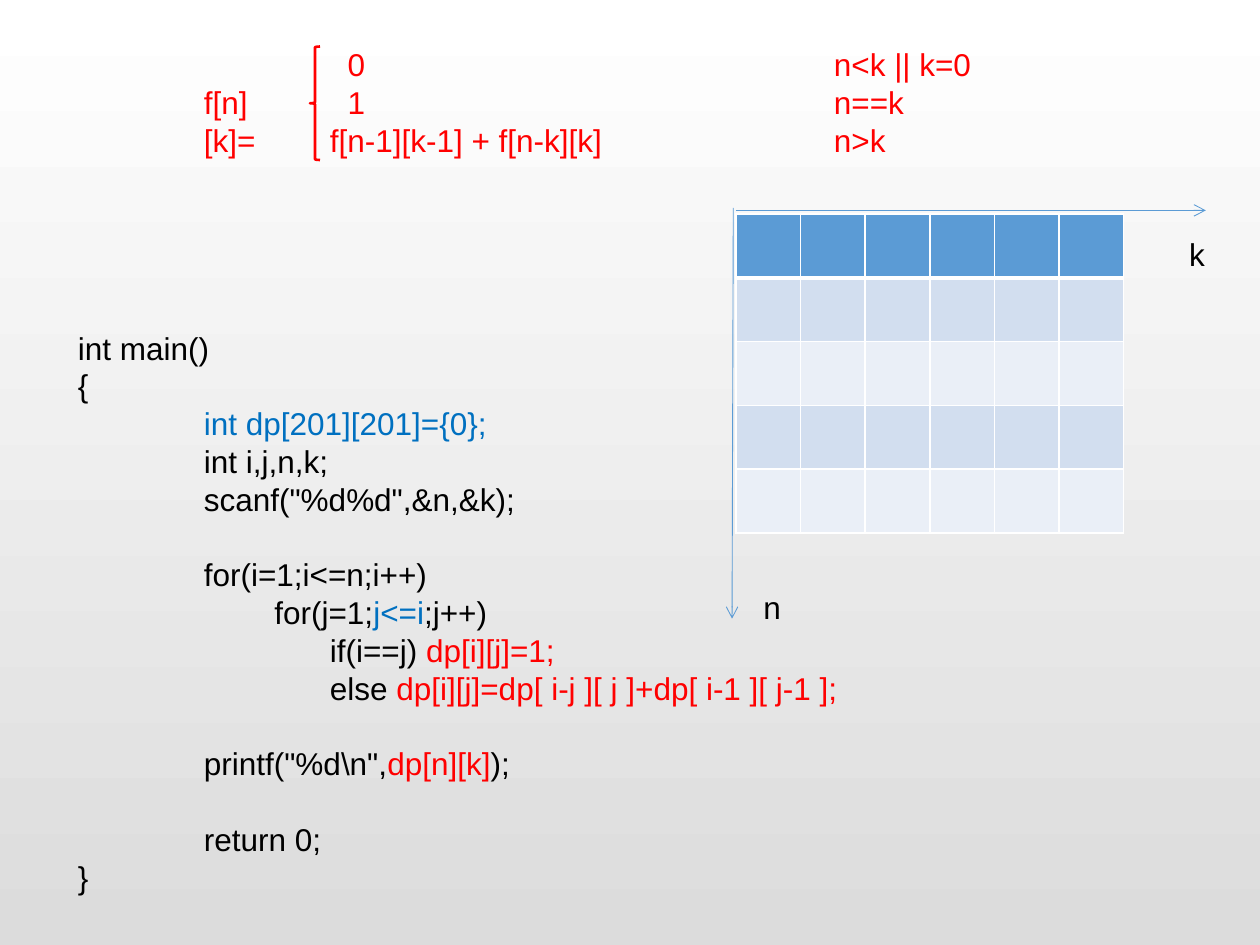
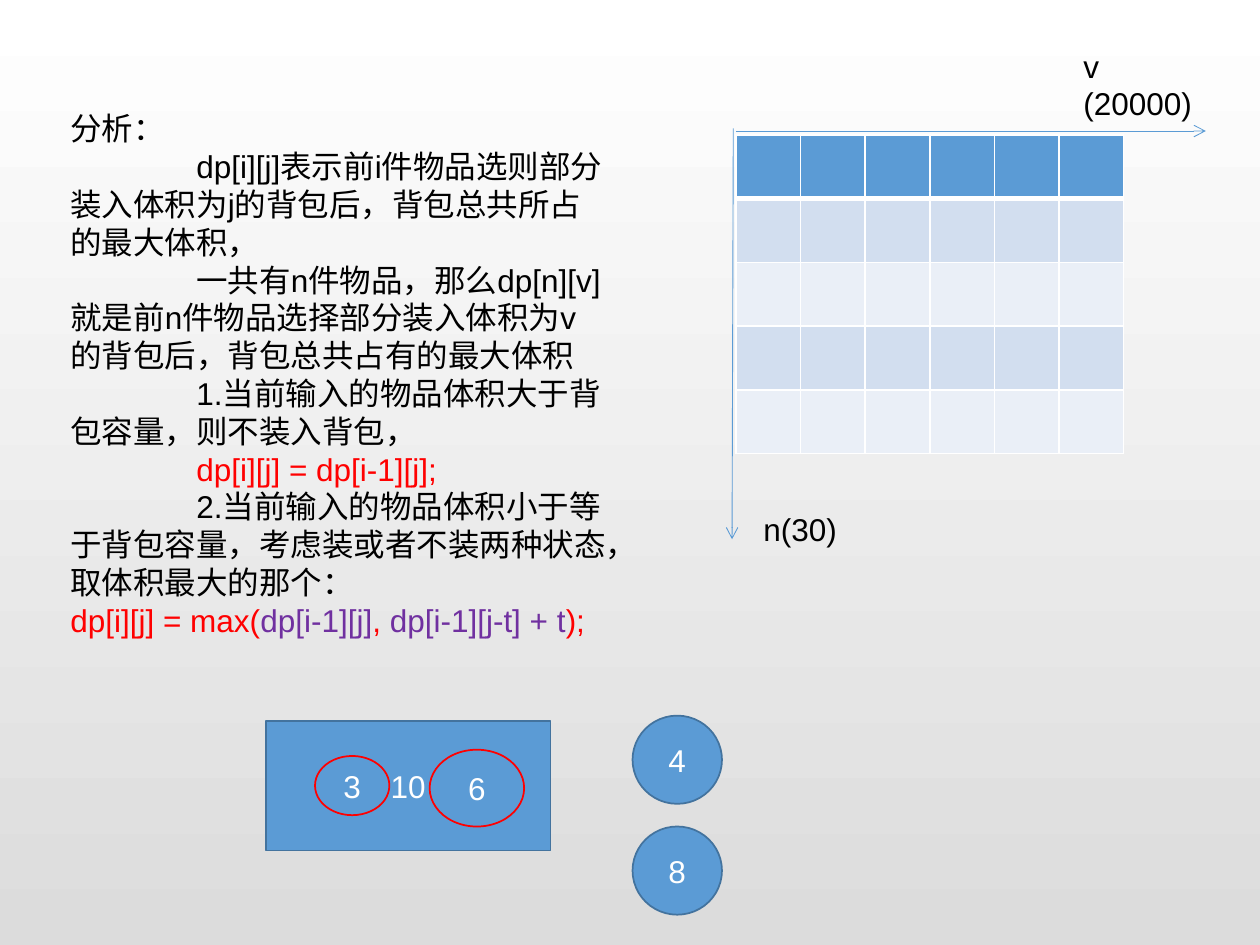
"""Build two slides on dynamic programming tables."""
from dataclasses import dataclass

from lxml.etree import SubElement
from pptx import Presentation
from pptx.dml.color import RGBColor
from pptx.enum.shapes import MSO_CONNECTOR, MSO_SHAPE
from pptx.enum.text import MSO_ANCHOR, PP_ALIGN
from pptx.oxml import parse_xml
from pptx.oxml.ns import nsdecls, qn
from pptx.util import Pt

SCALE = 9144


@dataclass(frozen=True)
class Theme:
    font: str = "Arial"
    size: int = 18
    pitch: float = 21.6
    black: str = "000000"
    white: str = "FFFFFF"
    grey: str = "DCDCDC"
    red: str = "FF0000"
    blue: str = "0070C0"
    violet: str = "7030A0"
    main: str = "5B9BD5"
    edge: str = "43739E"
    bands: tuple = ("EAEFF7", "D2DEEF")


THEME = Theme()


@dataclass
class Line:
    spans: list
    left: int = 0
    first: int = 0
    gap: bool = False


def px(count):
    return count * SCALE


def rgb(code):
    return RGBColor.from_string(code)


def style(run, color):
    run.font.name = THEME.font
    run.font.size = Pt(THEME.size)
    run.font.color.rgb = rgb(color)


def add_page(deck):
    page = deck.slides.add_slide(deck.slide_layouts[6])
    fill = page.background.fill
    fill.gradient()
    fill.gradient_angle = 270
    for stop, color in zip(fill.gradient_stops, (THEME.white, THEME.grey)):
        stop.color.rgb = rgb(color)
    return page


def set_line(para, line):
    para.line_spacing = Pt(THEME.pitch)
    if line.gap:
        para.space_before = Pt(THEME.pitch)
    props = para._p.get_or_add_pPr()
    props.set("marL", str(px(line.left)))
    props.set("indent", str(px(line.first)))
    for text, color in line.spans:
        run = para.add_run()
        run.text = text
        style(run, color)


def add_text(page, place, lines, wrap=True):
    frame = page.shapes.add_textbox(*map(px, place)).text_frame
    frame.word_wrap = wrap
    for index, line in enumerate(lines):
        para = frame.add_paragraph() if index else frame.paragraphs[0]
        set_line(para, line)


def add_label(page, place, *texts, wrap=False, color=THEME.black):
    add_text(page, place, [Line([(text, color)]) for text in texts], wrap)


def add_arrow(page, start, end):
    arrow = page.shapes.add_connector(
        MSO_CONNECTOR.STRAIGHT, *map(px, start + end))
    arrow.line.color.rgb = rgb(THEME.main)
    arrow.line.width = Pt(0.5)
    SubElement(arrow.line._get_or_add_ln(), qn("a:tailEnd"), type="arrow")
    SubElement(arrow._element.spPr, qn("a:effectLst"))


def set_edge(cell, widths):
    props = cell._tc.get_or_add_tcPr()
    for index, (side, width) in enumerate(zip("LRTB", widths)):
        props.insert(index, parse_xml(
            f'<a:ln{side} {nsdecls("a")} w="{Pt(width)}"><a:solidFill>'
            f'<a:srgbClr val="{THEME.white}"/></a:solidFill></a:ln{side}>'))


def add_grid(page, top):
    table = page.shapes.add_table(5, 6, *map(px, (584, top, 308, 253))).table
    for index, row in enumerate(table.rows):
        widths = (1, 1, 3 if index == 1 else 1, 1 if index else 3)
        for cell in row.cells:
            cell.fill.solid()
            cell.fill.fore_color.rgb = rgb(
                THEME.bands[index % 2] if index else THEME.main)
            set_edge(cell, widths)
    add_arrow(page, (584, top - 3), (957, top - 3))
    add_arrow(page, (582, top - 5), (581, top + 321))


def add_form(page, kind, place, text="", edge=THEME.edge, width=1.0):
    form = page.shapes.add_shape(kind, *map(px, place))
    form.shadow.inherit = False
    form.line.color.rgb = rgb(edge)
    form.line.width = Pt(width)
    if not text:
        form.fill.background()
        return
    form.fill.solid()
    form.fill.fore_color.rgb = rgb(THEME.main)
    frame = form.text_frame
    frame.text = text
    frame.vertical_anchor = MSO_ANCHOR.MIDDLE
    para = frame.paragraphs[0]
    para.alignment = PP_ALIGN.CENTER
    style(para.runs[0], THEME.white)


def draw_rule(page):
    red = THEME.red
    add_label(page, (152, 61, 95, 40), "f[n][k]=", color=red)
    add_text(page, (252, 31, 300, 101), [
        Line([("0", red)], 14),
        Line([("1", red)], 14),
        Line([("f[n-1][k-1] + f[n-k][k]", red)]),
    ])
    add_label(page, (652, 31, 202, 101),
              "n<k || k=0", "n==k", "n>k", wrap=True, color=red)
    add_form(page, MSO_SHAPE.LEFT_BRACE, (246, 37, 8, 90), edge=red, width=1.5)


def draw_code(page):
    black, red, blue = THEME.black, THEME.red, THEME.blue
    add_text(page, (52, 256, 896, 464), [
        Line([("int main()", black)]),
        Line([("{", black)]),
        Line([("int dp[201][201]={0};", blue)], 100),
        Line([("int i,j,n,k;", black)], 100),
        Line([('scanf("%d%d",&n,&k);', black)], 100),
        Line([("for(i=1;i<=n;i++)", black)], 100, gap=True),
        Line([("for(j=1;", black), ("j<=i", blue), (";j++)", black)], 156),
        Line([("if(i==j)", black), (" dp[i][j]=1;", red)], 200),
        Line([("else ", black),
              ("dp[i][j]=dp[ i-j ][ j ]+dp[ i-1 ][ j-1 ];", red)], 200),
        Line([('printf("%d\\n",', black), ("dp[n][k]", red), (");", black)],
             100, gap=True),
        Line([("return 0;", black)], 100, gap=True),
        Line([("}", black)]),
    ])
    add_grid(page, 170)
    add_label(page, (596, 462, 34, 40), "n")
    add_label(page, (934, 182, 33, 40), "k")
    draw_rule(page)


def draw_pack(page):
    black, red, violet = THEME.black, THEME.red, THEME.violet
    notes = [
        ("dp[i][j]表示前i件物品选则部分装入体积为j的背包后，背包总共所占的最大体积，", black),
        ("一共有n件物品，那么dp[n][v]就是前n件物品选择部分装入体积为v的背包后，"
         "背包总共占有的最大体积", black),
        ("1.当前输入的物品体积大于背包容量，则不装入背包，", black),
        ("dp[i][j] = dp[i-1][j];", red),
        ("2.当前输入的物品体积小于等于背包容量，考虑装或者不装两种状态，"
         "取体积最大的那个：", black),
    ]
    add_text(page, (46, 82, 445, 434), [
        Line([("分析：", black)]),
        *(Line([note], first=100) for note in notes),
        Line([("dp[i][j] = max(", red), ("dp[i-1][j]", violet), (",", red),
              (" dp[i-1][j-t] + t", violet), (");", red)]),
    ])
    add_grid(page, 107)
    add_label(page, (596, 400, 141, 40), "n(30)", wrap=True)
    add_label(page, (850, 32, 107, 71), "v", "(20000)", wrap=True)
    add_form(page, MSO_SHAPE.RECTANGLE, (211, 572, 226, 103), "10")
    add_form(page, MSO_SHAPE.OVAL, (250, 600, 59, 47), "3", red)
    add_form(page, MSO_SHAPE.OVAL, (341, 595, 75, 61), "6", red)
    for index, text in enumerate("48"):
        add_form(page, MSO_SHAPE.OVAL, (502, 568 + 88 * index, 71, 70), text)


def main():
    deck = Presentation()
    deck.slide_width, deck.slide_height = px(1000), px(750)
    for draw in (draw_code, draw_pack):
        draw(add_page(deck))
    deck.save("out.pptx")


if __name__ == "__main__":
    main()
